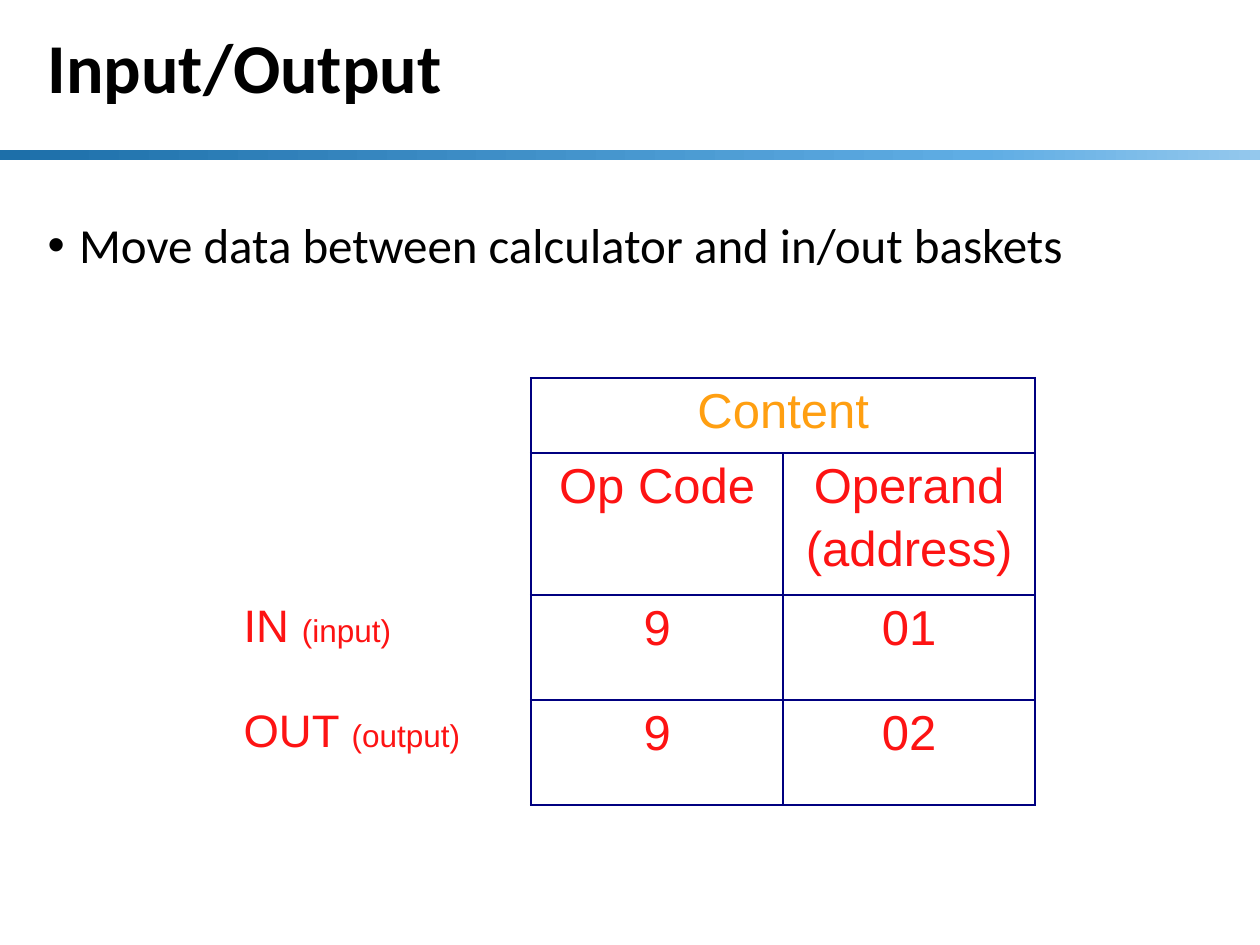
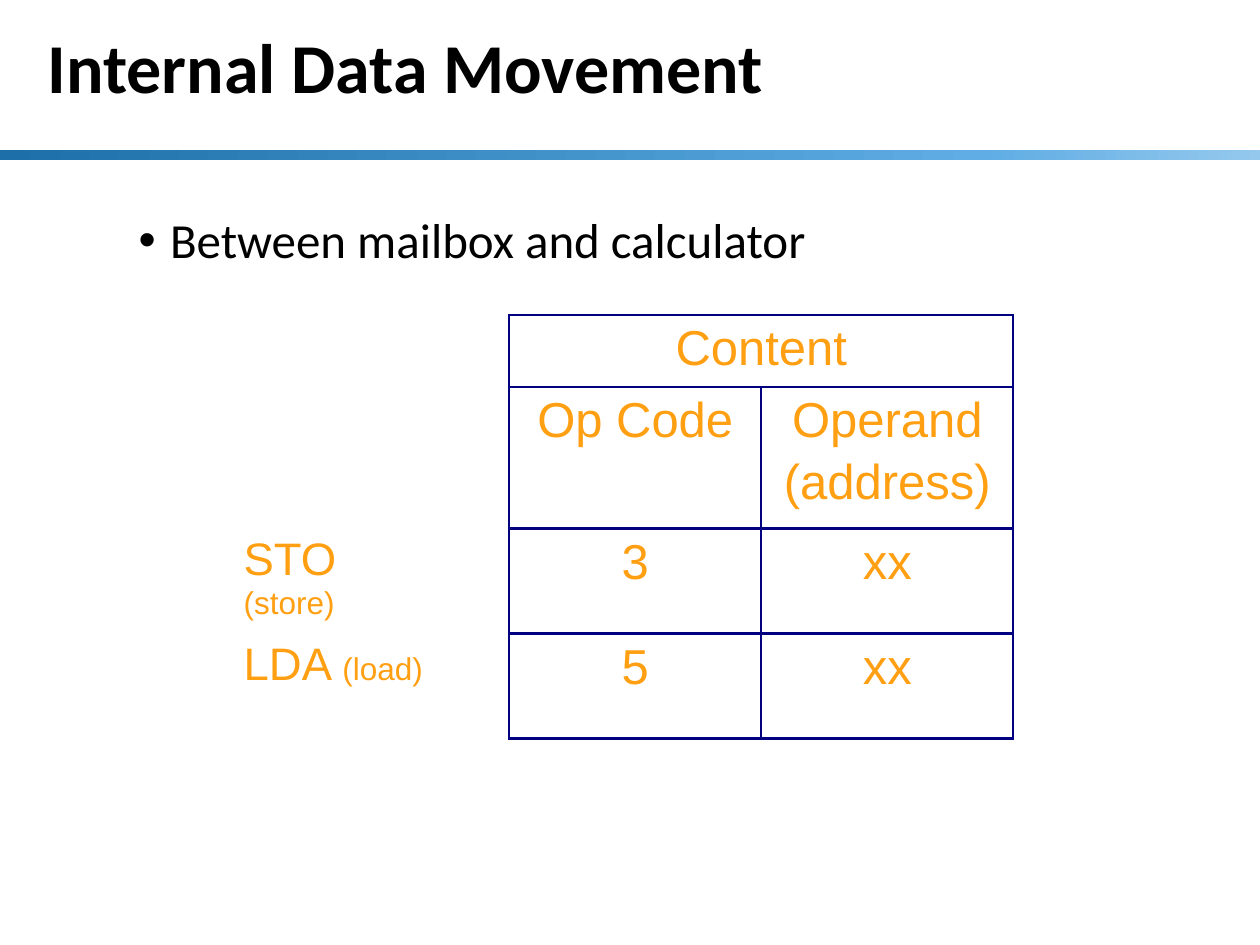
from copy import deepcopy

from lxml import etree
from pptx import Presentation
from pptx.dml.color import RGBColor
from pptx.enum import shapes, text
from pptx.oxml.ns import qn
from pptx.util import Pt

BLACK = RGBColor(0x00, 0x00, 0x00)
WHITE = RGBColor(0xFF, 0xFF, 0xFF)
NAVY = RGBColor(0x00, 0x00, 0x80)
ORANGE = RGBColor(0xFF, 0x9F, 0x11)
RED = RGBColor(0xFD, 0x13, 0x13)
BAND_STOPS = [(0, RGBColor(0x1D, 0x6F, 0xA9)),
              (0.78, RGBColor(0x5F, 0xAD, 0xE4)),
              (1, RGBColor(0x94, 0xC8, 0xED))]
HEAD_FONT, TABLE_FONT = "Calibri", "Arial"

SLIDES = [
    dict(title="Input/Output",
         bullet="Move data between calculator and in/out baskets",
         body=(20, 96.5, 673, 390), body_inset=30,
         table_top=216, widths=(144, 27.5, 144, 144), heights=(43, 81, 60, 60),
         color=RED,
         codes=[("IN ", "(input)", "9", "01"), ("OUT ", "(output)", "9", "02")]),
    dict(title="Internal Data Movement",
         bullet="Between mailbox and calculator",
         body=(72, 120, 612, 56), body_inset=3.6,
         table_top=180, widths=(126, 33, 144, 144), heights=(41, 81, 60, 60),
         color=ORANGE,
         codes=[("STO ", "(store)", "3", "xx"), ("LDA ", "(load)", "5", "xx")]),
]


def format_run(r, size, font, color, bold=False):
    r.font.size, r.font.name, r.font.bold = Pt(size), font, bold
    r.font.color.rgb = color


def set_borders(cell, **edges):
    """Draw the edges given as L, R, T or B, each a (colour, width) pair."""
    tcPr = cell._tc.get_or_add_tcPr()
    for side in "LRTB":
        if side in edges:
            color, width = edges[side]
            ln = etree.SubElement(tcPr, qn("a:ln" + side), w=str(Pt(width)))
            fill = etree.SubElement(ln, qn("a:solidFill"))
            etree.SubElement(fill, qn("a:srgbClr"), val=str(color))


prs = Presentation()
prs.slide_width, prs.slide_height = Pt(720), Pt(540)
layout = prs.slide_layouts[1]
title = layout.placeholders[0]
title.left, title.top, title.width, title.height = Pt(20), Pt(0), Pt(673), Pt(81)

band = None
for data in SLIDES:
    s = prs.slides.add_slide(layout)

    # The band is made once and kept on the master
    if band is None:
        band = s.shapes.add_shape(shapes.MSO_SHAPE.RECTANGLE,
                                  Pt(0), Pt(85.7), Pt(720), Pt(6))
        band.shadow.inherit = False
        band.line.fill.background()
        band.fill.gradient()
        band.fill.gradient_angle = 0
        gs_list = band.element.find(".//" + qn("a:gsLst"))
        gs_list.append(deepcopy(gs_list[0]))
        for stop, (position, color) in zip(band.fill.gradient_stops, BAND_STOPS):
            stop.position = position
            stop.color.rgb = color
        prs.slide_master.shapes.element.append(band.element)

    # Title
    tf = s.shapes.title.text_frame
    tf.text = data["title"]
    tf.vertical_anchor = text.MSO_ANCHOR.MIDDLE
    tf.auto_size = text.MSO_AUTO_SIZE.NONE
    p = tf.paragraphs[0]
    p.alignment, p.line_spacing = text.PP_ALIGN.LEFT, 0.9
    format_run(p.runs[0], 40, HEAD_FONT, BLACK, bold=True)

    # Bullet
    body = s.placeholders[1]
    body.left, body.top, body.width, body.height = map(Pt, data["body"])
    tf = body.text_frame
    tf.text = data["bullet"]
    tf.auto_size = text.MSO_AUTO_SIZE.NONE
    tf.margin_top = Pt(data["body_inset"])
    p = tf.paragraphs[0]
    p.line_spacing, p.space_before = 0.9, Pt(10)
    pPr = p._p.get_or_add_pPr()
    pPr.set("marL", str(Pt(18)))
    pPr.set("indent", str(Pt(-18)))
    format_run(p.runs[0], 28, HEAD_FONT, BLACK)

    # Instruction table: label, gutter, op code, operand
    widths, heights = data["widths"], data["heights"]
    table = s.shapes.add_table(4, 4, Pt(132), Pt(data["table_top"]),
                               Pt(sum(widths)), Pt(sum(heights))).table
    table.first_row = table.horz_banding = False
    for column, width in zip(table.columns, widths):
        column.width = Pt(width)
    for row, height in zip(table.rows, heights):
        row.height = Pt(height)
    table.cell(0, 2).merge(table.cell(0, 3))

    white, navy = (WHITE, 1), (NAVY, 1.5)
    for row in range(4):
        for col in range(4):
            cell = table.cell(row, col)
            if col == 0:
                set_borders(cell, L=white, R=white, T=white, B=white)
            elif col == 1:
                set_borders(cell, L=white, R=navy, T=white, B=white)
            else:
                set_borders(cell, L=navy, R=navy, T=navy, B=navy)
            cell.fill.background()

    contents = [("Content", ""), ("Op Code", "Operand\n(address)")]
    contents += [code[2:] for code in data["codes"]]
    for row, values in enumerate(contents):
        for col, value in enumerate(values, start=2):
            if not value:
                continue
            tf = table.cell(row, col).text_frame
            tf.text = value
            for p in tf.paragraphs:
                p.alignment, p.space_before = text.PP_ALIGN.CENTER, Pt(4.5)
                format_run(p.runs[0], 28, TABLE_FONT, ORANGE if row == 0 else data["color"])

    for row, (mnemonic, meaning, *_) in enumerate(data["codes"], start=2):
        p = table.cell(row, 0).text_frame.paragraphs[0]
        p.space_before = Pt(4.5)
        for words, size in ((mnemonic, 26), (meaning, 18)):
            r = p.add_run()
            r.text = words
            format_run(r, size, TABLE_FONT, data["color"])

prs.save("out.pptx")
